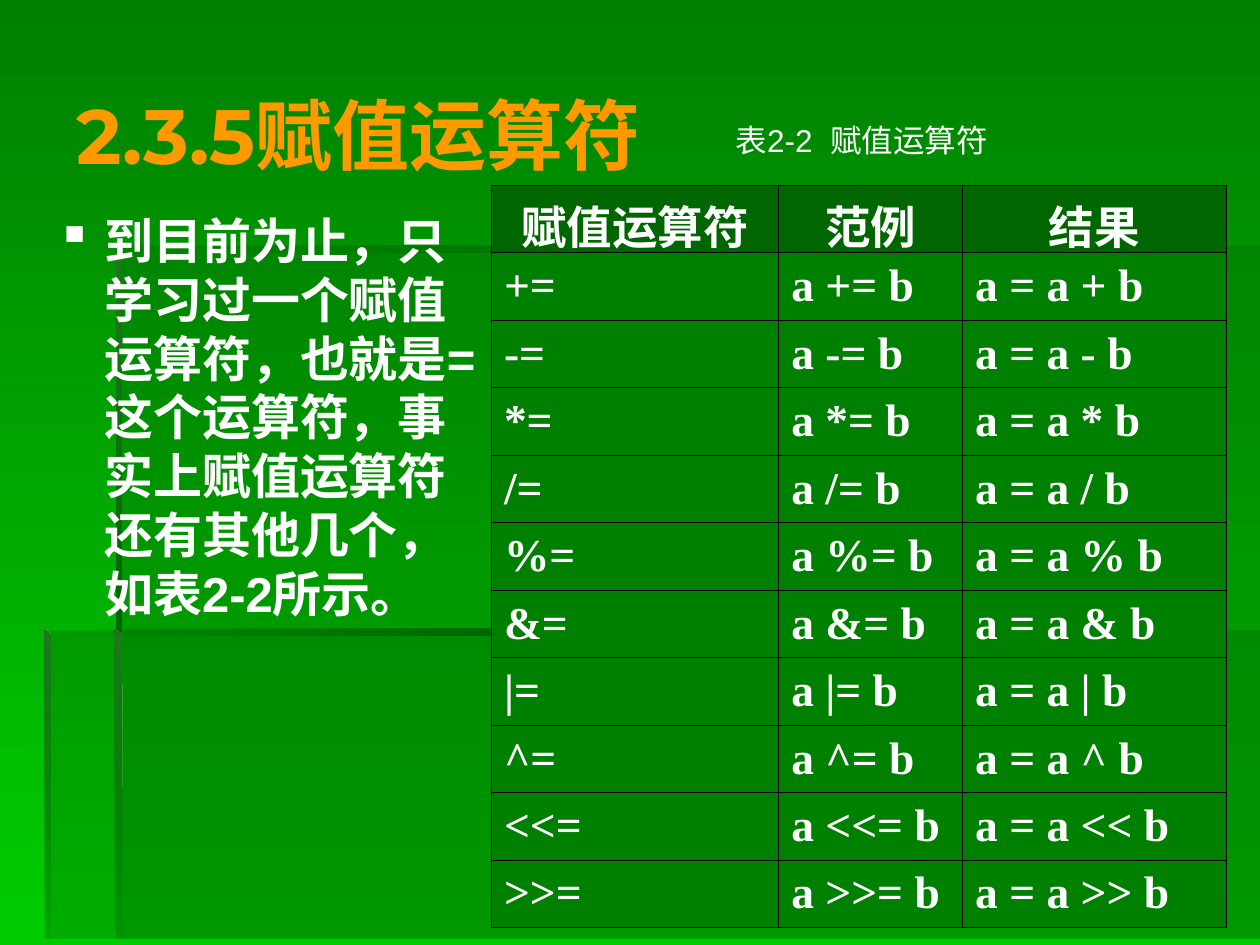
import pptx
import pptx.dml.color
import pptx.enum.text
import pptx.oxml
import pptx.util
from lxml import etree
from pptx.util import Inches

COLORS = {
    "top": "008000", "bottom": "00CC00", "panel": "006600", "shade": "005300",
    "bevel": "1E781E", "title": "FF9900", "text": "FFFFFF", "border": "000000",
}
TITLE = "2.3.5赋值运算符"
CAPTION = "表2-2  赋值运算符"
BODY = ("到目前为止，只学习过一个赋值运算符，也就是=这个运算符，"
        "事实上赋值运算符还有其他几个，如表2-2所示。")
HEADER = ("赋值运算符", "范例", "结果")
OPERATORS = ("+", "-", "*", "/", "%", "&", "|", "^", "<<", ">>")

COLUMN_WIDTHS = (2.28, 1.46, 2.09)
TABLE_LEFT, TABLE_TOP, ROW_HEIGHT = 3.9, 1.47, 5.89 / 11

# outline points, colours, opacity of each colour in percent, gradient angle
BACKDROP = [
    ([(0.92, 5), (0.92, 7.45), (10, 7.45), (10, 5)], ["panel"], [30], 0),
    ([(0.94, 5.01), (0.36, 5.01), (0.36, 7.45), (10, 7.45), (10, 1.95), (0.94, 1.95)],
     ["panel"], [30], 0),
    ([(0.92, 1.95), (0.92, 2), (8.91, 2), (8.91, 1.95)], ["shade", "panel"], [100, 0], 180),
    ([(0.92, 1.95), (0.92, 5.05), (0.97, 5.05), (0.96, 1.99)],
     ["bevel", "panel"], [100, 100], 90),
    ([(0.91, 7.45), (0.97, 7.45), (0.96, 5.03), (0.91, 4.99)],
     ["bevel", "panel"], [100, 0], 90),
    ([(0.35, 4.99), (0.35, 5.04), (5.35, 5.04), (5.35, 4.99)],
     ["shade", "panel"], [100, 0], 180),
    ([(0.35, 4.99), (0.35, 7.45), (0.4, 7.45), (0.4, 5.04)],
     ["bevel", "panel"], [100, 10], 90),
]

TITLE_FONT = {"name": "Montserrat", "size": 44, "bold": True, "color": "title"}
BODY_FONT = {"name": "Arial", "size": 28, "bold": True, "color": "text"}
CAPTION_FONT = {"name": "Arial", "size": 18, "bold": False, "color": "text"}
TABLE_FONT = {"name": "Times New Roman", "size": 26, "bold": True, "color": "text"}

MIDDLE = pptx.enum.text.MSO_ANCHOR.MIDDLE
TOP = pptx.enum.text.MSO_ANCHOR.TOP


def rgb(name):
    return pptx.dml.color.RGBColor.from_string(COLORS[name])


def paint(fill, names, angle=0):
    """Fill solid for one colour, or with a gradient (clockwise angle) for two."""
    if len(names) == 1:
        fill.solid()
        fill.fore_color.rgb = rgb(names[0])
        return
    fill.gradient()
    fill.gradient_angle = (360 - angle) % 360
    for stop, name in zip(fill.gradient_stops, names):
        stop.color.rgb = rgb(name)


def add_panel(page, points, names, opacities, angle):
    start, *rest = [(Inches(x), Inches(y)) for x, y in points]
    builder = page.shapes.build_freeform(*start)
    builder.add_line_segments(rest, close=True)
    panel = builder.convert_to_shape()
    panel.shadow.inherit = False
    panel.line.fill.background()
    paint(panel.fill, names, angle)
    colors = panel._element.spPr.xpath(".//a:srgbClr")
    for color, opacity in zip(colors, opacities):
        if opacity < 100:
            alpha = etree.SubElement(color, pptx.oxml.ns.qn("a:alpha"))
            alpha.set("val", str(opacity * 1000))


def write(para, text, look):
    span = para.add_run()
    span.text = text
    values = {**look, "size": pptx.util.Pt(look["size"])}
    span.font.color.rgb = rgb(values.pop("color"))
    for key, value in values.items():
        setattr(span.font, key, value)


def add_text(page, place, text, look, anchor=MIDDLE, wrap=True):
    frame = page.shapes.add_textbox(*map(Inches, place)).text_frame
    frame.word_wrap = wrap
    frame.vertical_anchor = anchor
    write(frame.paragraphs[0], text, look)
    return frame.paragraphs[0]


def add_bullet(para, mark, indent):
    props = para._p.get_or_add_pPr()
    props.set("marL", str(Inches(indent)))
    props.set("indent", str(-Inches(indent)))
    color = etree.SubElement(props, pptx.oxml.ns.qn("a:buClr"))
    etree.SubElement(color, pptx.oxml.ns.qn("a:srgbClr"), val=COLORS["text"])
    etree.SubElement(props, pptx.oxml.ns.qn("a:buChar"), char=mark)


def add_borders(cell, points):
    props = cell._tc.get_or_add_tcPr()
    for index, side in enumerate(("lnL", "lnR", "lnT", "lnB")):
        line = etree.Element(pptx.oxml.ns.qn("a:" + side), w=str(pptx.util.Pt(points)))
        solid = etree.SubElement(line, pptx.oxml.ns.qn("a:solidFill"))
        etree.SubElement(solid, pptx.oxml.ns.qn("a:srgbClr"), val=COLORS["border"])
        props.insert(index, line)


def add_operator_table(page):
    rows = [HEADER] + [(f"{op}=", f"a {op}= b", f"a = a {op} b") for op in OPERATORS]
    place = (TABLE_LEFT, TABLE_TOP, sum(COLUMN_WIDTHS), ROW_HEIGHT * len(rows))
    table = page.shapes.add_table(len(rows), len(HEADER), *map(Inches, place)).table
    table.first_row = table.horz_banding = False
    for column, width in zip(table.columns, COLUMN_WIDTHS):
        column.width = Inches(width)
    for r, texts in enumerate(rows):
        table.rows[r].height = Inches(ROW_HEIGHT)
        for c, text in enumerate(texts):
            cell = table.cell(r, c)
            cell.vertical_anchor = MIDDLE
            paint(cell.fill, ["top" if r else "panel"])
            add_borders(cell, 0.45)
            para = cell.text_frame.paragraphs[0]
            if r == 0:
                para.alignment = pptx.enum.text.PP_ALIGN.CENTER
            write(para, text, TABLE_FONT)


def main():
    deck = pptx.Presentation()
    deck.slide_width, deck.slide_height = Inches(10), Inches(7.5)
    page = deck.slides.add_slide(deck.slide_layouts[6])
    paint(page.background.fill, ["top", "bottom"], 90)
    for panel in BACKDROP:
        add_panel(page, *panel)
    add_text(page, (0.51, 0.28, 9.17, 1.57), TITLE, TITLE_FONT)
    body = add_text(page, (0.35, 1.62, 3.53, 4.88), BODY, BODY_FONT, anchor=TOP)
    add_bullet(body, "▪", 0.38)
    add_operator_table(page)
    add_text(page, (5.74, 0.91, 2.37, 0.4), CAPTION, CAPTION_FONT, wrap=False)
    deck.save("out.pptx")


if __name__ == "__main__":
    main()
